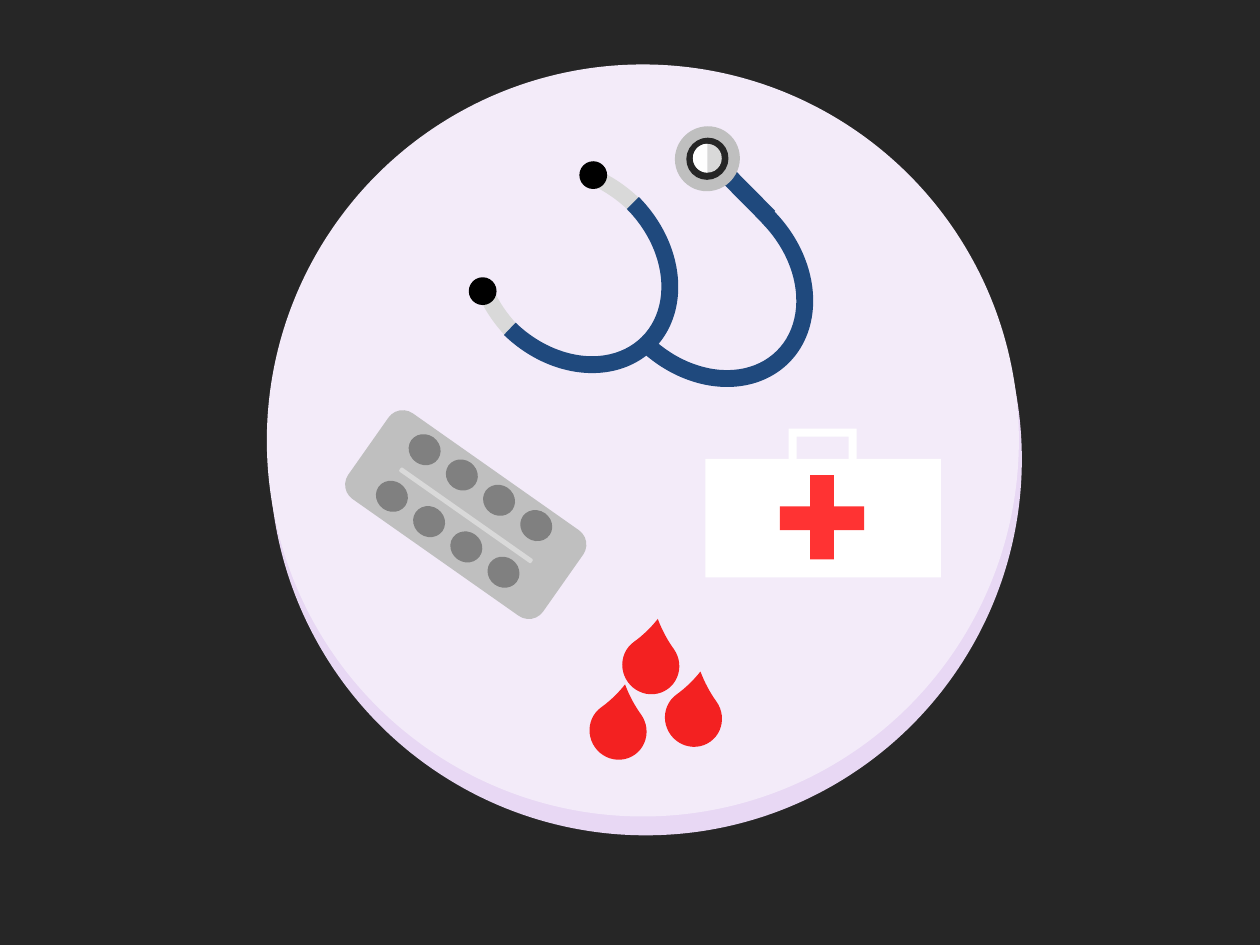
"""Build a slide of flat medical icons on a pale disc."""
from math import cos, pi, sin

from pptx import Presentation
from pptx.dml.color import RGBColor
from pptx.enum.shapes import MSO_SHAPE as Shape
from pptx.util import Cm

COLORS = {
    "night": "262626", "lilac": "E8D8F4", "pale": "F3EBF9", "silver": "BFBFBF",
    "light": "D9D9D9", "grey": "808080", "blood": "F32121", "white": "FFFFFF",
    "cross": "FF3333", "navy": "1F497D", "black": "000000",
}
TIP_ARC = (195.241, 214.885, 0.088)
TUBE_ARC = (108, 214.885, 0.088)
TILT, TURN, BACK = 315.3, 135.3, 225.3

DISC = [
    (Shape.OVAL, (5.44, 1.68, 15.16, 15.16), "lilac", {}),
    (Shape.OVAL, (5.38, 1.3, 15.16, 15.16), "pale", {}),
]
PILL_ROWS = [(7.57, 9.7), (8.23, 8.76)]
PILL_STEP = (0.75, 0.51)
PILLS_PER_ROW = 4
BLISTER = [
    (Shape.ROUNDED_RECTANGLE, (6.99, 9.32, 4.8, 2.11), "silver", {"rotation": 35.1}),
    (Shape.ROUNDED_RECTANGLE, (7.77, 10.34, 3.25, 0.1), "light",
     {"rotation": 35.1, "adjust": (0.292,)}),
] + [
    (Shape.OVAL, (left + i * PILL_STEP[0], top + i * PILL_STEP[1], 0.66, 0.61),
     "grey", {"rotation": 215.1})
    for left, top in PILL_ROWS for i in range(PILLS_PER_ROW)
]
DROPS = [
    (Shape.TEAR, (left, top, 1.14, 1.17), "blood", {"rotation": 324.3, "adjust": (1.161,)})
    for left, top in [(12.55, 12.83), (13.41, 13.89), (11.89, 14.15)]
]
FIRST_AID_KIT = [
    (Shape.FRAME, (15.9, 8.64, 1.37, 1.3), "white", {}),
    (Shape.RECTANGLE, (14.22, 9.25, 4.75, 2.39), "white", {}),
    (Shape.RECTANGLE, (16.33, 9.58, 0.48, 1.7), "cross", {}),
    (Shape.RECTANGLE, (15.72, 10.21, 1.7, 0.48), "cross", {}),
]
STETHOSCOPE = [
    (Shape.BLOCK_ARC, (9.75, 2.97, 3.73, 4.78), "light", {"rotation": TILT, "adjust": TIP_ARC}),
    (Shape.RECTANGLE, (14.66, 2.77, 0.36, 1.88), "navy", {"rotation": TILT}),
    (Shape.BLOCK_ARC, (12.27, 3.23, 3.89, 4.78), "navy", {"rotation": TURN, "adjust": TUBE_ARC}),
    (Shape.OVAL, (13.61, 2.54, 1.3, 1.32), "silver", {"rotation": BACK}),
    (Shape.OVAL, (13.84, 2.77, 0.84, 0.86), "night", {"rotation": BACK}),
    (Shape.OVAL, (11.68, 3.25, 0.56, 0.56), "black", {"rotation": TILT}),
    (Shape.BLOCK_ARC, (9.7, 3.12, 3.73, 4.78), "light",
     {"rotation": TILT, "adjust": TIP_ARC, "flip": True}),
    (Shape.OVAL, (9.45, 5.59, 0.56, 0.56), "black", {"rotation": TILT, "flip": True}),
    (Shape.BLOCK_ARC, (9.55, 2.95, 3.89, 4.78), "navy", {"rotation": TURN, "adjust": TUBE_ARC}),
]
LENS = [(Shape.OVAL, (13.97, 2.9, 0.58, 0.58), "light", {"rotation": BACK})]
GLINT_CENTER, GLINT_RADIUS, GLINT_STEPS = (14.26, 3.19), 0.29, 24


def paint(shape, color):
    shape.shadow.inherit = False
    shape.fill.solid()
    shape.fill.fore_color.rgb = RGBColor.from_string(COLORS[color])
    shape.line.fill.background()


def draw(shapes, parts):
    for kind, box, color, look in parts:
        shape = shapes.add_shape(kind, *map(Cm, box))
        paint(shape, color)
        shape.rotation = look.get("rotation", 0)
        for i, value in enumerate(look.get("adjust", ())):
            shape.adjustments[i] = value
        if look.get("flip"):
            shape.element.spPr.xfrm.set("flipH", "1")


def draw_glint(shapes):
    angles = [pi / 2 + pi * i / GLINT_STEPS for i in range(GLINT_STEPS + 1)]
    points = [(Cm(GLINT_CENTER[0] + GLINT_RADIUS * cos(angle)),
               Cm(GLINT_CENTER[1] + GLINT_RADIUS * sin(angle))) for angle in angles]
    outline = shapes.build_freeform(*points[0])
    outline.add_line_segments(points[1:], close=True)
    paint(outline.convert_to_shape(), "white")


def main():
    deck = Presentation()
    deck.slide_width, deck.slide_height = Cm(25.4), Cm(19.05)
    page = deck.slides.add_slide(deck.slide_layouts[6])
    page.background.fill.solid()
    page.background.fill.fore_color.rgb = RGBColor.from_string(COLORS["night"])
    for icon in (DISC, BLISTER, DROPS, FIRST_AID_KIT):
        draw(page.shapes.add_group_shape().shapes, icon)
    draw(page.shapes, STETHOSCOPE)
    lens = page.shapes.add_group_shape().shapes
    draw(lens, LENS)
    draw_glint(lens)
    deck.save("out.pptx")


if __name__ == "__main__":
    main()
